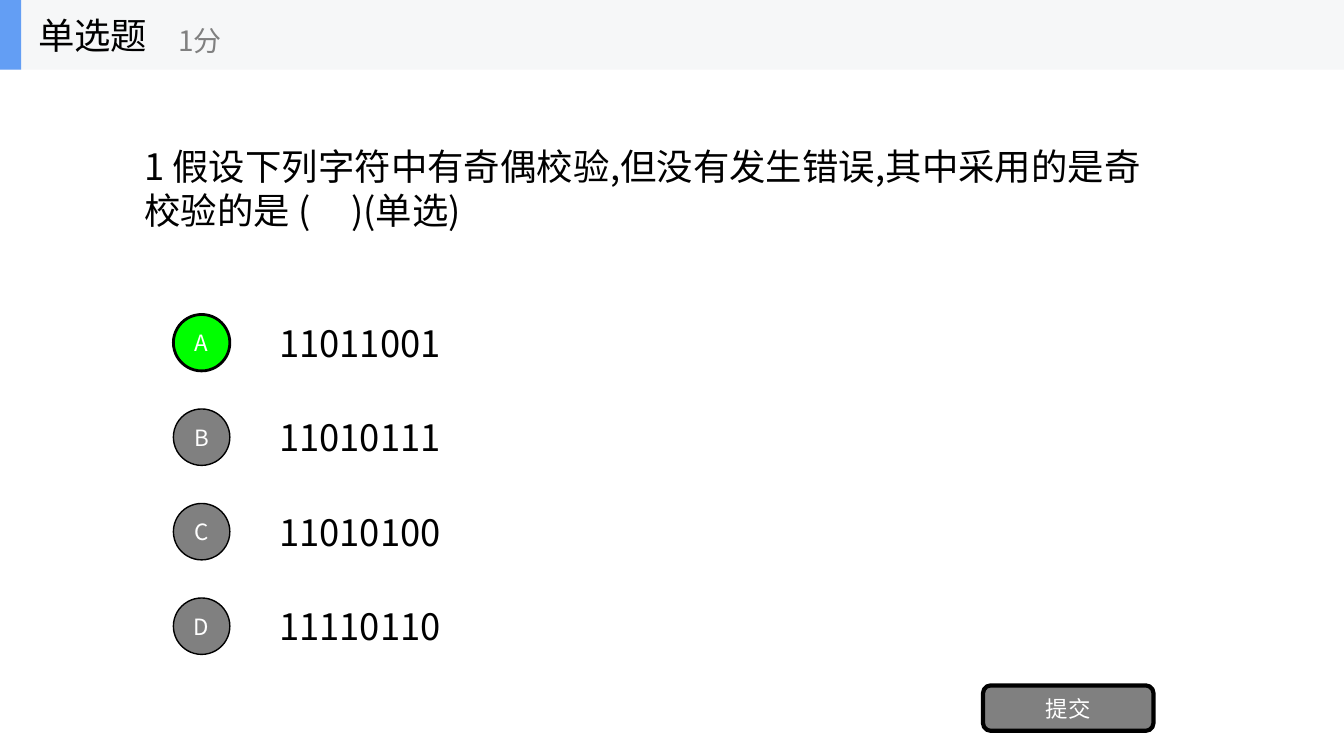
"""Build a single-choice quiz slide about odd parity."""
from dataclasses import dataclass

from lxml.etree import SubElement
from pptx import Presentation
from pptx.dml.color import RGBColor
from pptx.enum.shapes import MSO_SHAPE
from pptx.enum.text import MSO_ANCHOR, MSO_AUTO_SIZE, PP_ALIGN
from pptx.oxml.ns import qn
from pptx.util import Inches, Pt

HEAD = "单选题"
SCORE = "1分"
ASK = "1 假设下列字符中有奇偶校验,但没有发生错误,其中采用的是奇校验的是 (     )(单选)"
ITEMS = [("A", "11011001"), ("B", "11010111"), ("C", "11010100"), ("D", "11110110")]
RIGHT = "A"
SEND = "提交"


@dataclass(frozen=True)
class Theme:
    """Colours, font and type sizes of the slide."""
    font: str = "Noto Sans CJK SC"
    ink: str = "000000"
    pale: str = "FFFFFF"
    grey: str = "808080"
    green: str = "00FF00"
    band: str = "F6F7F8"
    blue: str = "639EF4"
    large: int = 26
    mid: int = 20
    small: int = 16


THEME = Theme()


def place(shape, box):
    """Move and size a shape by a box in inches."""
    shape.left, shape.top, shape.width, shape.height = map(Inches, box)


def write(shape, text, size, tint, align=PP_ALIGN.LEFT):
    """Put one formatted run into a shape."""
    frame = shape.text_frame
    frame.word_wrap = True
    frame.auto_size = MSO_AUTO_SIZE.NONE
    frame.vertical_anchor = MSO_ANCHOR.MIDDLE
    para = frame.paragraphs[0]
    para.alignment = align
    run = para.add_run()
    run.text = text
    run.font.size = Pt(size)
    run.font.color.rgb = RGBColor.from_string(tint)
    run.font.name = THEME.font
    east = SubElement(run.font._element, qn("a:ea"))
    east.set("typeface", THEME.font)


def label(slide, box, text, size=THEME.large, tint=THEME.ink):
    """Add a left-aligned text box."""
    write(slide.shapes.add_textbox(*map(Inches, box)), text, size, tint)


def block(slide, kind, box, fill, line=0):
    """Add a filled shape, outlined when a line width is given."""
    shape = slide.shapes.add_shape(kind, *map(Inches, box))
    shape.shadow.inherit = False
    shape.fill.solid()
    shape.fill.fore_color.rgb = RGBColor.from_string(fill)
    if line:
        shape.line.color.rgb = RGBColor.from_string(THEME.ink)
        shape.line.width = Pt(line)
    else:
        shape.line.fill.background()
    return shape


def button(slide, kind, box, text, fill, line):
    """Add an outlined shape with a small centred label."""
    shape = block(slide, kind, box, fill, line)
    frame = shape.text_frame
    frame.margin_left = frame.margin_right = 0
    write(shape, text, THEME.small, THEME.pale, PP_ALIGN.CENTER)


def main():
    """Lay out the slide and save it."""
    deck = Presentation()
    deck.slide_width, deck.slide_height = Inches(13.33), Inches(7.5)
    slide = deck.slides.add_slide(deck.slide_layouts[5])

    place(slide.shapes.title, (1.33, 1.38, 10.44, 0.97))
    write(slide.shapes.title, ASK, THEME.large, THEME.ink)

    top, step, disc = 3.12, 0.9375, 0.56
    for row, (mark, text) in enumerate(ITEMS):
        y = top + row * step
        hit = mark == RIGHT
        label(slide, (2.67, y + 0.015, 2, 0.53), text)
        button(slide, MSO_SHAPE.OVAL, (1.72, y, disc, disc), mark,
               THEME.green if hit else THEME.grey, 2 if hit else 1)

    button(slide, MSO_SHAPE.ROUNDED_RECTANGLE, (9.75, 6.8, 1.69, 0.45),
           SEND, THEME.grey, 3)

    high = 0.69
    block(slide, MSO_SHAPE.RECTANGLE, (0, 0, 13.33, high), THEME.band)
    block(slide, MSO_SHAPE.RECTANGLE, (0, 0, 0.21, high), THEME.blue)
    label(slide, (0.28, 0, 2.08, high), HEAD)
    label(slide, (1.67, 0.12, 2.5, 0.56), SCORE, THEME.mid, THEME.grey)
    deck.save("out.pptx")


if __name__ == "__main__":
    main()
